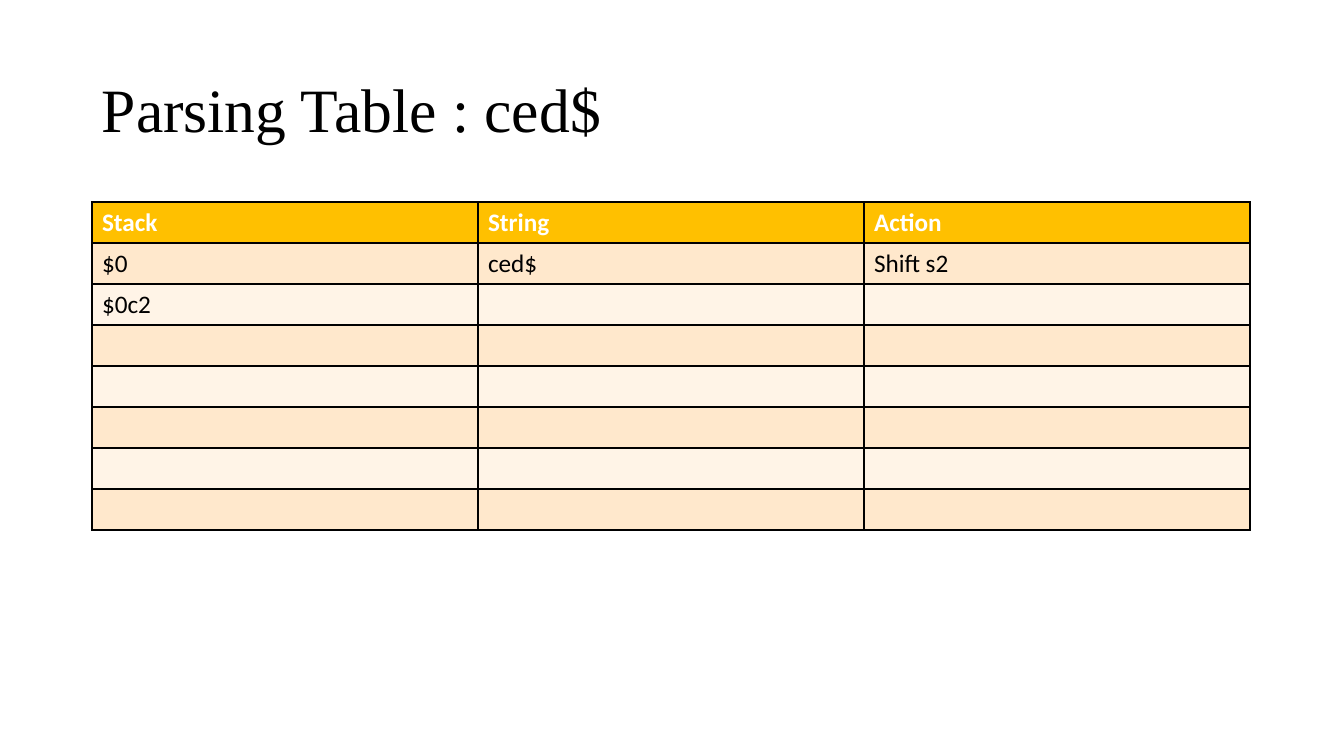
from dataclasses import dataclass

from lxml.etree import SubElement
from pptx import Presentation
from pptx.dml.color import RGBColor
from pptx.enum.text import MSO_ANCHOR
from pptx.oxml.ns import qn
from pptx.util import Pt

EMU_PER_PX = 914400 / 100.8


@dataclass(frozen=True)
class Theme:
    title_font: str = "Times New Roman"
    table_font: str = "Calibri"
    title_size: int = 44
    table_size: int = 18
    border_width: int = 1
    ink: str = "000000"
    header_ink: str = "FFFFFF"
    header_fill: str = "FFC000"
    band_fills: tuple = ("FFE8CC", "FFF4E7")


THEME = Theme()

COLUMNS = ("Stack", "String", "Action")
PARSE_STEPS = (("$0", "ced$", "Shift s2"), ("$0c2", "", ""))
EMPTY_STEPS = 5


def px(length):
    return round(length * EMU_PER_PX)


def write_text(para, text, *, font, size, color, bold=False):
    # An empty cell keeps its type size through the paragraph font
    target = para.font
    if text:
        span = para.add_run()
        span.text = text
        target = span.font
    target.name = font
    target.size = Pt(size)
    target.bold = bold
    target.color.rgb = RGBColor.from_string(color)


def add_title(page, text, left, top, width, height):
    box = page.shapes.add_textbox(px(left), px(top), px(width), px(height))
    frame = box.text_frame
    frame.word_wrap = True
    frame.vertical_anchor = MSO_ANCHOR.MIDDLE
    para = frame.paragraphs[0]
    para.line_spacing = 0.9
    write_text(para, text, font=THEME.title_font, size=THEME.title_size,
               color=THEME.ink)


def add_borders(cell):
    properties = cell._tc.get_or_add_tcPr()
    for side in ("lnL", "lnR", "lnT", "lnB"):
        line = SubElement(properties, qn(f"a:{side}"),
                          w=str(Pt(THEME.border_width)))
        fill = SubElement(line, qn("a:solidFill"))
        SubElement(fill, qn("a:srgbClr"), val=THEME.ink)


def format_cell(cell, text, fill, color, bold):
    add_borders(cell)
    cell.fill.solid()
    cell.fill.fore_color.rgb = RGBColor.from_string(fill)
    write_text(cell.text_frame.paragraphs[0], text, font=THEME.table_font,
               size=THEME.table_size, color=color, bold=bold)


def add_parsing_table(page, rows, left, top, column_width, row_height):
    column_count = len(rows[0])
    table = page.shapes.add_table(
        len(rows), column_count, px(left), px(top),
        px(column_width * column_count), px(row_height * len(rows))).table
    for column in table.columns:
        column.width = px(column_width)
    for row_index, texts in enumerate(rows):
        table.rows[row_index].height = px(row_height)
        header = row_index == 0
        fill = THEME.header_fill if header else THEME.band_fills[(row_index - 1) % 2]
        color = THEME.header_ink if header else THEME.ink
        for column_index, text in enumerate(texts):
            format_cell(table.cell(row_index, column_index), text, fill, color, header)


def main():
    deck = Presentation()
    deck.slide_width = px(1344)
    deck.slide_height = px(756)
    page = deck.slides.add_slide(deck.slide_layouts[6])

    # Title
    add_title(page, "Parsing Table : ced$", 92, 40, 1159, 146)

    # Parsing steps, with blank rows left to fill in
    blank_row = ("",) * len(COLUMNS)
    rows = (COLUMNS, *PARSE_STEPS, *[blank_row] * EMPTY_STEPS)
    add_parsing_table(page, rows, left=92, top=202, column_width=386, row_height=41)

    deck.save("out.pptx")


if __name__ == "__main__":
    main()
